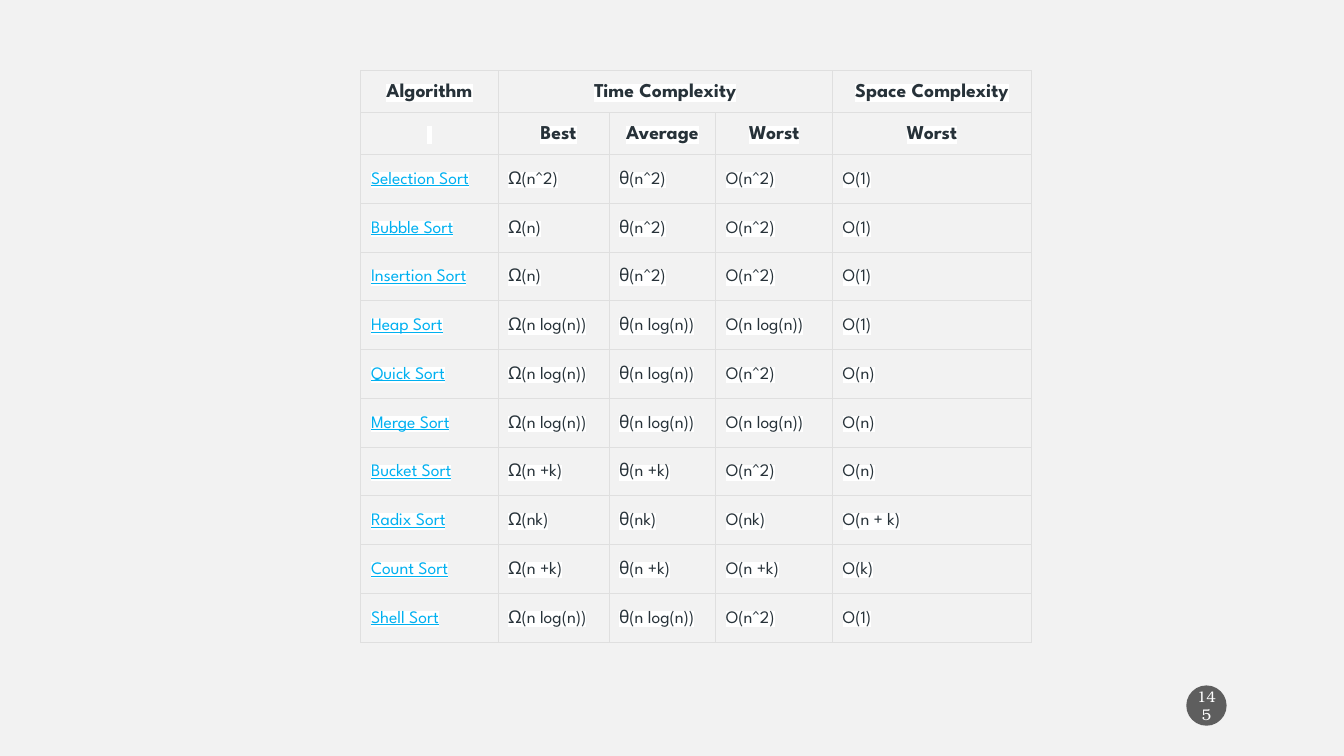
"""Build a slide comparing the complexity of sorting algorithms."""
from dataclasses import dataclass
from typing import Any

from lxml.etree import SubElement
from pptx import Presentation
from pptx.dml.color import RGBColor
from pptx.enum.shapes import MSO_SHAPE
from pptx.enum.text import MSO_ANCHOR, PP_ALIGN
from pptx.oxml import parse_xml
from pptx.oxml.ns import nsdecls, qn
from pptx.util import Pt

INK, LINK, WHITE, BORDER = "273239", "00B0F0", "FFFFFF", "DFDFDF"
COLUMN_WIDTHS = (97.9, 79.3, 76.3, 83.5, 141.9)
HEADER_HEIGHT, BODY_HEIGHT = 30, 34.2


@dataclass(frozen=True)
class CellStyle:
    """Describe the look of one kind of table cell."""

    font: dict[str, Any]
    color: str
    alignment: PP_ALIGN
    side_margin: float
    vertical_margin: float
    extra_left: float = 0


FONT_NAME = "League Spartan"
HEADER_FONT = {"name": FONT_NAME, "size": Pt(14), "bold": True}
BODY_FONT = {"name": FONT_NAME, "size": Pt(12.5), "bold": False}
HEADER = CellStyle(HEADER_FONT, INK, PP_ALIGN.CENTER, 7.2, 7.2)
NARROW_HEADER = CellStyle(HEADER_FONT, INK, PP_ALIGN.CENTER, 2.9, 7.2)
INDENTED_HEADER = CellStyle(HEADER_FONT, INK, PP_ALIGN.CENTER, 7.2, 7.2, 7.2)
BODY = CellStyle(BODY_FONT, INK, PP_ALIGN.LEFT, 7.2, 10.8)
NAME = CellStyle(BODY_FONT | {"underline": True}, LINK, PP_ALIGN.LEFT, 7.2, 10.8)

HEADER_ROWS = (
    ("Algorithm", "Time Complexity", "", "", "Space Complexity"),
    (" ", "Best", "Average", "Worst", "Worst"),
)
SORT_ROWS = (
    ("Selection Sort", "Ω(n^2)", "θ(n^2)", "O(n^2)", "O(1)"),
    ("Bubble Sort", "Ω(n)", "θ(n^2)", "O(n^2)", "O(1)"),
    ("Insertion Sort", "Ω(n)", "θ(n^2)", "O(n^2)", "O(1)"),
    ("Heap Sort", "Ω(n log(n))", "θ(n log(n))", "O(n log(n))", "O(1)"),
    ("Quick Sort", "Ω(n log(n))", "θ(n log(n))", "O(n^2)", "O(n)"),
    ("Merge Sort", "Ω(n log(n))", "θ(n log(n))", "O(n log(n))", "O(n)"),
    ("Bucket Sort", "Ω(n +k)", "θ(n +k)", "O(n^2)", "O(n)"),
    ("Radix Sort", "Ω(nk)", "θ(nk)", "O(nk)", "O(n + k)"),
    ("Count Sort", "Ω(n +k)", "θ(n +k)", "O(n +k)", "O(k)"),
    ("Shell Sort", "Ω(n log(n))", "θ(n log(n))", "O(n^2)", "O(1)"),
)


def set_color(target: Any, color: str) -> None:
    """Give a fill or font colour a hex value."""
    target.rgb = RGBColor.from_string(color)


def apply_format(target: Any, values: dict[str, Any]) -> None:
    """Set every attribute named in a dict of format values."""
    for name, value in values.items():
        setattr(target, name, value)


def highlight(run: Any, color: str) -> None:
    """Put a marker colour behind a coloured run."""
    marker = parse_xml(
        f'<a:highlight {nsdecls("a")}><a:srgbClr val="{color}"/></a:highlight>'
    )
    run.font._element.find(qn("a:solidFill")).addnext(marker)


def add_borders(cell: Any) -> None:
    """Draw a thin line on all four sides of a cell."""
    properties = cell._tc.get_or_add_tcPr()
    for index, side in enumerate(("lnL", "lnR", "lnT", "lnB")):
        line = parse_xml(
            f'<a:{side} {nsdecls("a")} w="{Pt(0.75)}"><a:solidFill>'
            f'<a:srgbClr val="{BORDER}"/></a:solidFill></a:{side}>'
        )
        properties.insert(index, line)


def choose_style(row: int, column: int) -> CellStyle:
    """Return the cell style for a place in the table."""
    if row >= len(HEADER_ROWS):
        return BODY if column else NAME
    return {(0, 0): NARROW_HEADER, (1, 1): INDENTED_HEADER}.get((row, column), HEADER)


def format_cell(cell: Any, text: str, style: CellStyle) -> None:
    """Write and format one table cell."""
    apply_format(cell, {
        "vertical_anchor": MSO_ANCHOR.MIDDLE,
        "margin_left": Pt(style.side_margin + style.extra_left),
        "margin_right": Pt(style.side_margin),
        "margin_top": Pt(style.vertical_margin),
        "margin_bottom": Pt(style.vertical_margin),
    })
    cell.fill.background()
    add_borders(cell)
    paragraph = cell.text_frame.paragraphs[0]
    apply_format(paragraph, {"alignment": style.alignment, "line_spacing": 1.15})
    if text:
        run = paragraph.add_run()
        run.text = text
        apply_format(run.font, style.font)
        set_color(run.font.color, style.color)
        highlight(run, WHITE)
    else:
        apply_format(paragraph.font, style.font)


def add_complexity_table(slide: Any) -> None:
    """Add the table of sorting algorithms."""
    rows = HEADER_ROWS + SORT_ROWS
    heights = [HEADER_HEIGHT] * len(HEADER_ROWS) + [BODY_HEIGHT] * len(SORT_ROWS)
    table = slide.shapes.add_table(
        len(rows), len(COLUMN_WIDTHS), Pt(257.8), Pt(50.4),
        Pt(sum(COLUMN_WIDTHS)), Pt(sum(heights)),
    ).table
    apply_format(table, {"first_row": False, "horz_banding": False})
    for column, width in zip(table.columns, COLUMN_WIDTHS):
        column.width = Pt(width)
    for row, height in zip(table.rows, heights):
        row.height = Pt(height)
    for row_index, texts in enumerate(rows):
        for column_index, text in enumerate(texts):
            style = choose_style(row_index, column_index)
            format_cell(table.cell(row_index, column_index), text, style)
    table.cell(0, 1).merge(table.cell(0, 3))


def add_page_badge(slide: Any) -> None:
    """Add the round, partly transparent page number."""
    badge = slide.shapes.add_shape(
        MSO_SHAPE.OVAL, Pt(847.4), Pt(489.6), Pt(28.8), Pt(28.8)
    )
    badge.shadow.inherit = False
    badge.line.fill.background()
    badge.fill.solid()
    set_color(badge.fill.fore_color, "1D1D1D")
    color = badge._element.spPr.find(qn("a:solidFill")).find(qn("a:srgbClr"))
    SubElement(color, qn("a:alpha"), val="69000")
    apply_format(badge.text_frame, {
        "word_wrap": True,
        "vertical_anchor": MSO_ANCHOR.MIDDLE,
        "margin_left": Pt(1.44),
        "margin_right": Pt(1.44),
        "margin_top": Pt(3.6),
        "margin_bottom": Pt(3.6),
    })
    paragraph = badge.text_frame.paragraphs[0]
    paragraph.alignment = PP_ALIGN.CENTER
    run = paragraph.add_run()
    run.text = "145"
    apply_format(run.font, {"name": "TeX Gyre Bonum", "size": Pt(11)})
    set_color(run.font.color, WHITE)


def main() -> None:
    """Build and save the presentation."""
    presentation = Presentation()
    apply_format(presentation, {"slide_width": Pt(960), "slide_height": Pt(540)})
    slide = presentation.slides.add_slide(presentation.slide_layouts[6])
    slide.background.fill.solid()
    set_color(slide.background.fill.fore_color, "F2F2F2")
    add_page_badge(slide)
    add_complexity_table(slide)
    presentation.save("out.pptx")


if __name__ == "__main__":
    main()
